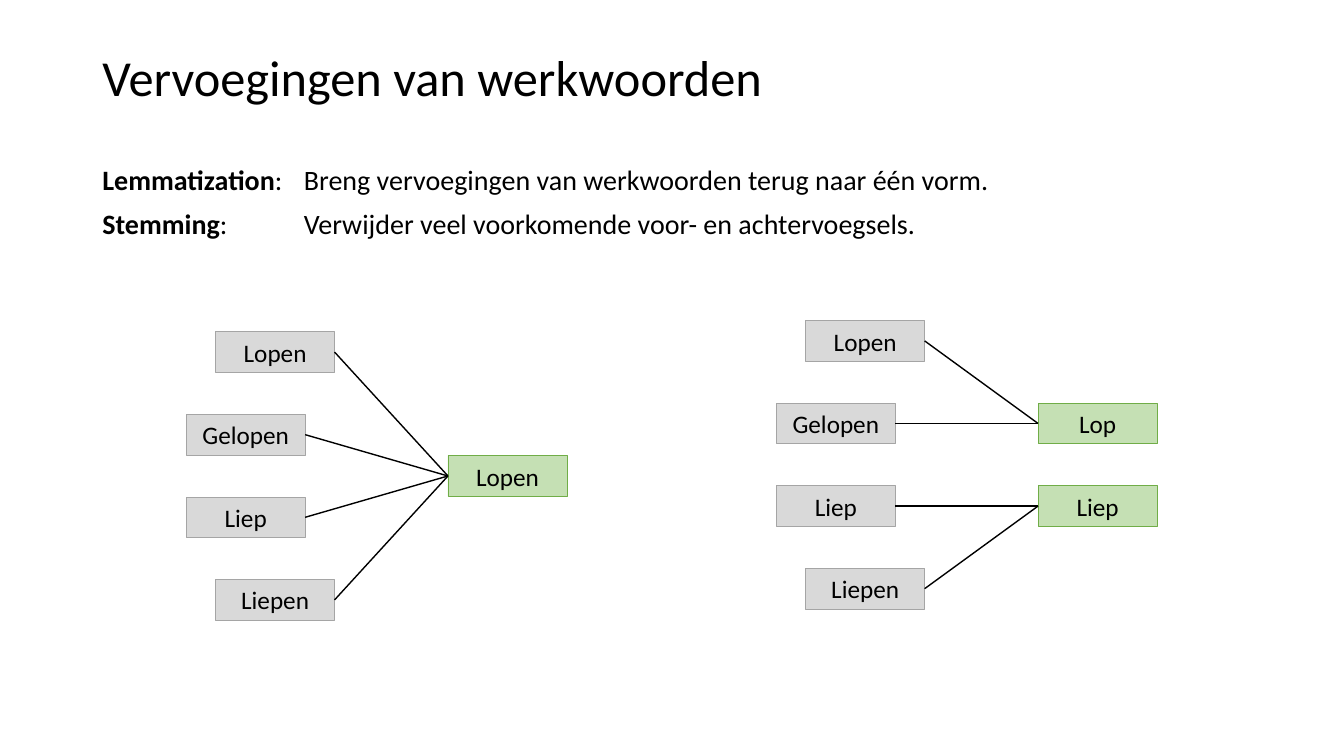
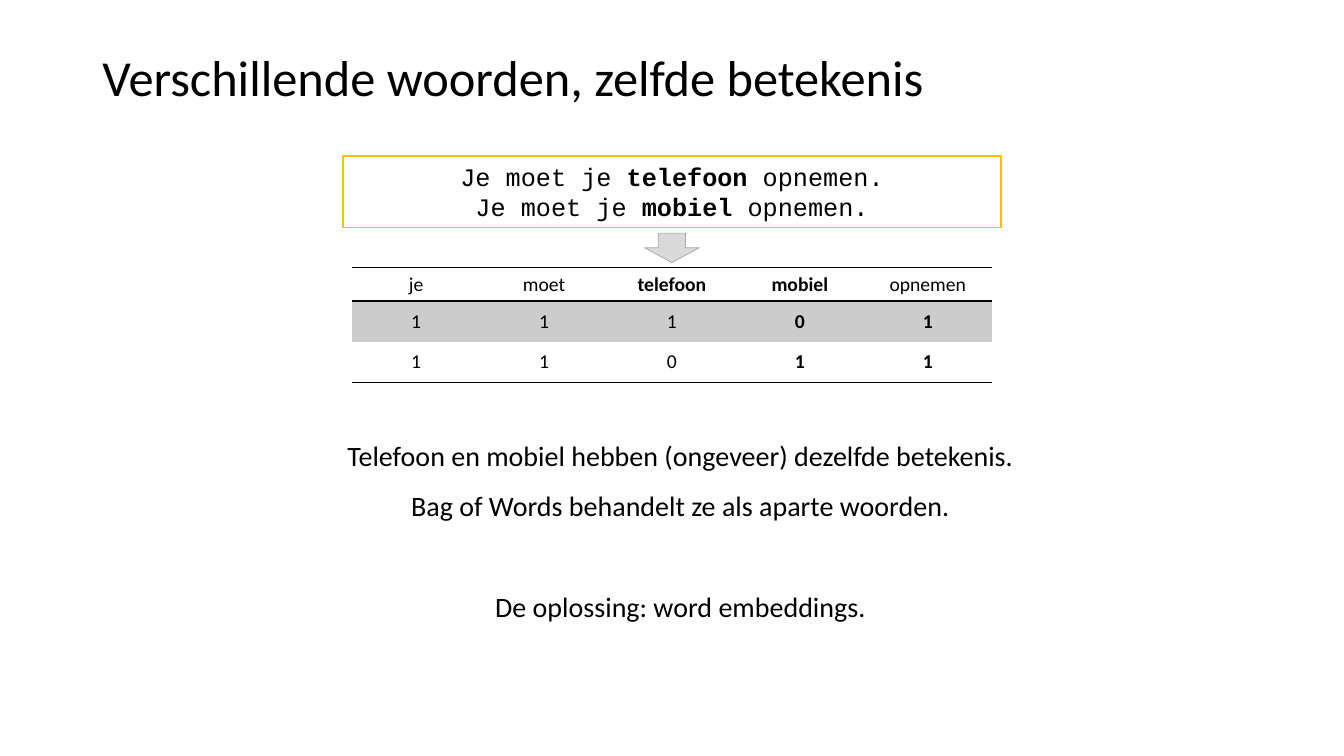
from lxml.etree import SubElement
from pptx import Presentation
from pptx.dml.color import RGBColor
from pptx.enum.shapes import MSO_CONNECTOR as Connector, MSO_SHAPE as Shape
from pptx.enum.text import MSO_ANCHOR as Anchor, MSO_AUTO_SIZE as AutoSize, PP_ALIGN as Align
from pptx.oxml.ns import qn
from pptx.util import Pt

# Shared style
BLACK, WHITE = "000000", "FFFFFF"
GREY, GREY_LINE, BAND = "D9D9D9", "A5A5A5", "CCCCCC"
GREEN, GREEN_LINE, AMBER = "C5E0B4", "70AD47", "FFC000"
SANS, MONO = "Calibri", "Courier New"
NO_TABLE_STYLE = "{2D5ABB26-0587-4C30-8999-92F81FD0307C}"

# Word tree measures
BOX_WIDTH, BOX_HEIGHT, ROW_PITCH = 85, 29, 59
WORD_INDENTS = (21, 0, 0, 21)
STEM_OFFSET = 187
WORDS = ("Lopen", "Gelopen", "Liep", "Liepen")


def colour(value):
    return RGBColor.from_string(value)


def points(*lengths):
    return [Pt(length) for length in lengths]


def write(frame, lines, size, font=SANS, align=Align.CENTER, spacing=1.0, gaps=None, tab=None):
    """Write one paragraph a line; text between ** marks is bold."""
    for index, line in enumerate(lines):
        para = frame.paragraphs[0] if index == 0 else frame.add_paragraph()
        if tab:
            tabs = SubElement(para._p.get_or_add_pPr(), qn("a:tabLst"))
            SubElement(tabs, qn("a:tab"), pos=str(Pt(tab)), algn="l")
        para.alignment = align
        para.line_spacing = spacing
        para.space_before = Pt(gaps[index] if gaps else 0)
        para.font.name = font
        para.font.size = Pt(size)
        para.font.color.rgb = colour(BLACK)
        for position, text in enumerate(line.split("**")):
            if text:
                span = para.add_run()
                span.text = text
                if position % 2:
                    span.font.bold = True


def add_page(deck, title):
    page = deck.slides.add_slide(deck.slide_layouts[5])
    holder = page.shapes.title
    holder.left, holder.top, holder.width, holder.height = points(66, 29, 828, 57)
    frame = holder.text_frame
    frame.auto_size = AutoSize.NONE
    frame.vertical_anchor = Anchor.MIDDLE
    write(frame, [title], 36, align=Align.LEFT, spacing=0.9)
    return page


def add_text(page, area, lines, **style):
    frame = page.shapes.add_textbox(*points(*area)).text_frame
    frame.word_wrap = True
    write(frame, lines, 20, **style)


def add_box(page, area, fill, line, lines=(), kind=Shape.RECTANGLE, width=0.5, font=SANS):
    box = page.shapes.add_shape(kind, *points(*area))
    box.shadow.inherit = False
    box.fill.solid()
    box.fill.fore_color.rgb = colour(fill)
    box.line.color.rgb = colour(line)
    box.line.width = Pt(width)
    frame = box.text_frame
    frame.word_wrap = False
    frame.vertical_anchor = Anchor.MIDDLE
    write(frame, lines, 18, font=font)
    return box


def join(page, word, stem):
    link = page.shapes.add_connector(Connector.STRAIGHT, 0, 0, 0, 0)
    link.begin_connect(word, 3)
    link.end_connect(stem, 1)
    link.line.color.rgb = colour(BLACK)
    link.line.width = Pt(1)
    SubElement(link._element.spPr, qn("a:effectLst"))


def add_word_tree(page, left, top, stems):
    """Draw the words and join them to stems, given as (text, row, word numbers)."""
    def place(text, offset, row, fill, line):
        area = (left + offset, top + row * ROW_PITCH, BOX_WIDTH, BOX_HEIGHT)
        return add_box(page, area, fill, line, [text])

    words = [place(text, indent, row, GREY, GREY_LINE)
             for row, (text, indent) in enumerate(zip(WORDS, WORD_INDENTS))]
    for text, row, members in stems:
        stem = place(text, STEM_OFFSET, row, GREEN, GREEN_LINE)
        for member in members:
            join(page, words[member], stem)


def add_border(cell, side):
    line = SubElement(cell._tc.get_or_add_tcPr(), qn("a:" + side), w=str(Pt(1)))
    SubElement(SubElement(line, qn("a:solidFill")), qn("a:srgbClr"), val=BLACK)


def add_word_counts(page, area, rows, heights):
    table = page.shapes.add_table(len(rows), len(rows[0]), *points(*area)).table
    table.first_row = table.horz_banding = False
    table._tbl.tblPr.find(qn("a:tableStyleId")).text = NO_TABLE_STYLE
    for row, (texts, height) in enumerate(zip(rows, heights)):
        table.rows[row].height = Pt(height)
        for column, text in enumerate(texts):
            cell = table.cell(row, column)
            cell.vertical_anchor = Anchor.MIDDLE
            if row == 0:
                add_border(cell, "lnT")
            if row in (0, len(rows) - 1):
                add_border(cell, "lnB")
            if row == 1:
                cell.fill.solid()
                cell.fill.fore_color.rgb = colour(BAND)
            else:
                cell.fill.background()
            write(cell.text_frame, [text], 14)


def main():
    deck = Presentation()
    deck.slide_width, deck.slide_height = points(960, 540)

    # Verb forms
    page = add_page(deck, "Vervoegingen van werkwoorden")
    add_text(page, (66, 115, 796, 41), [
        "**Lemmatization**:\tBreng vervoegingen van werkwoorden terug naar één vorm.",
        "**Stemming**:\tVerwijder veel voorkomende voor- en achtervoegsels.",
    ], align=Align.LEFT, spacing=0.9, gaps=(0, 10), tab=144)
    add_word_tree(page, 133, 237, [("Lopen", 1.5, range(4))])
    add_word_tree(page, 554.5, 229, [("Lop", 1, (0, 1)), ("Liep", 2, (2, 3))])

    # Different words, same meaning
    page = add_page(deck, "Verschillende woorden, zelfde betekenis")
    add_text(page, (78, 297.5, 816, 201), [
        "Telefoon en mobiel hebben (ongeveer) dezelfde betekenis.",
        "Bag of Words behandelt ze als aparte woorden.",
        "De oplossing: word embeddings.",
    ], spacing=1.5, gaps=(0, 0, 36))
    add_box(page, (245, 111.5, 470, 51), WHITE, AMBER, [
        "Je moet je **telefoon** opnemen.",
        "Je moet je **mobiel** opnemen.",
    ], width=1, font=MONO)
    add_word_counts(page, (251.5, 191, 457, 82), [
        ("je", "moet", "**telefoon**", "**mobiel**", "opnemen"),
        ("1", "1", "1", "**0**", "**1**"),
        ("1", "1", "0", "**1**", "**1**"),
    ], heights=(24, 29, 29))
    add_box(page, (460.5, 166.5, 39, 21), GREY, GREY_LINE, kind=Shape.DOWN_ARROW)

    deck.save("out.pptx")


if __name__ == "__main__":
    main()
